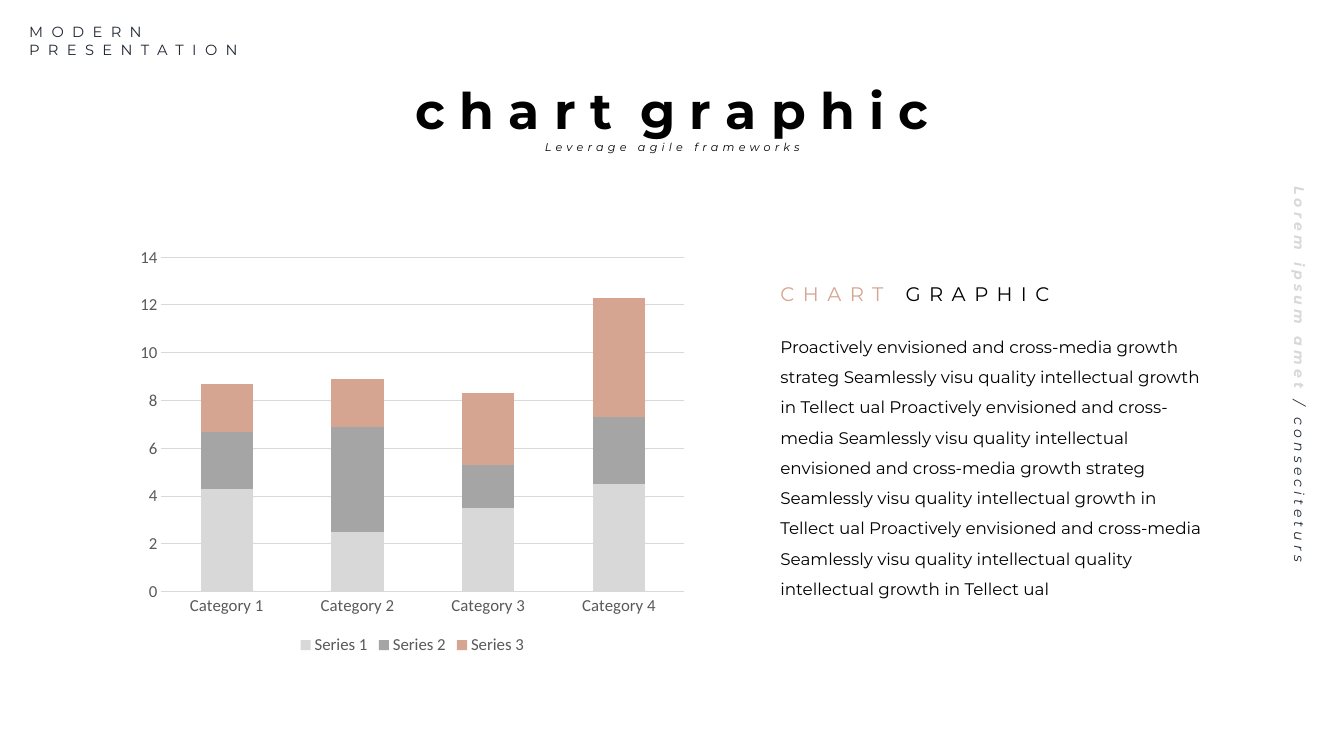
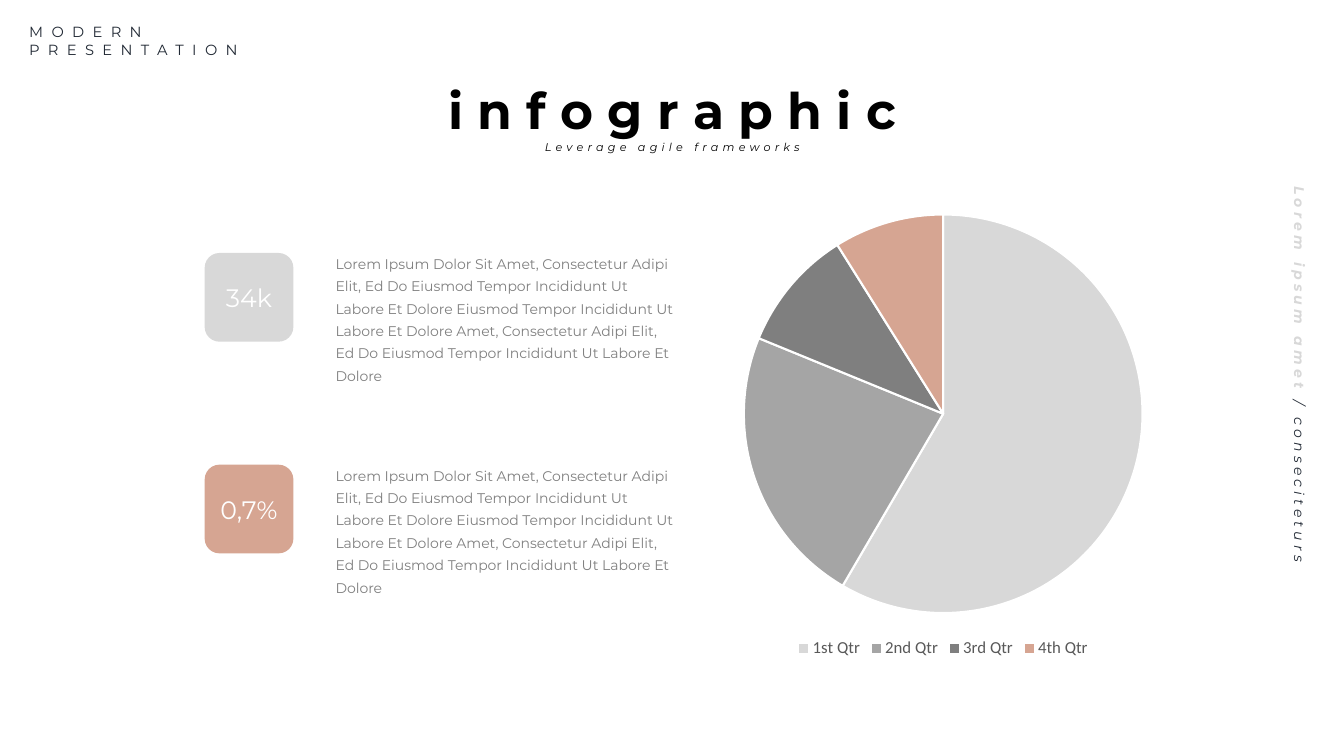
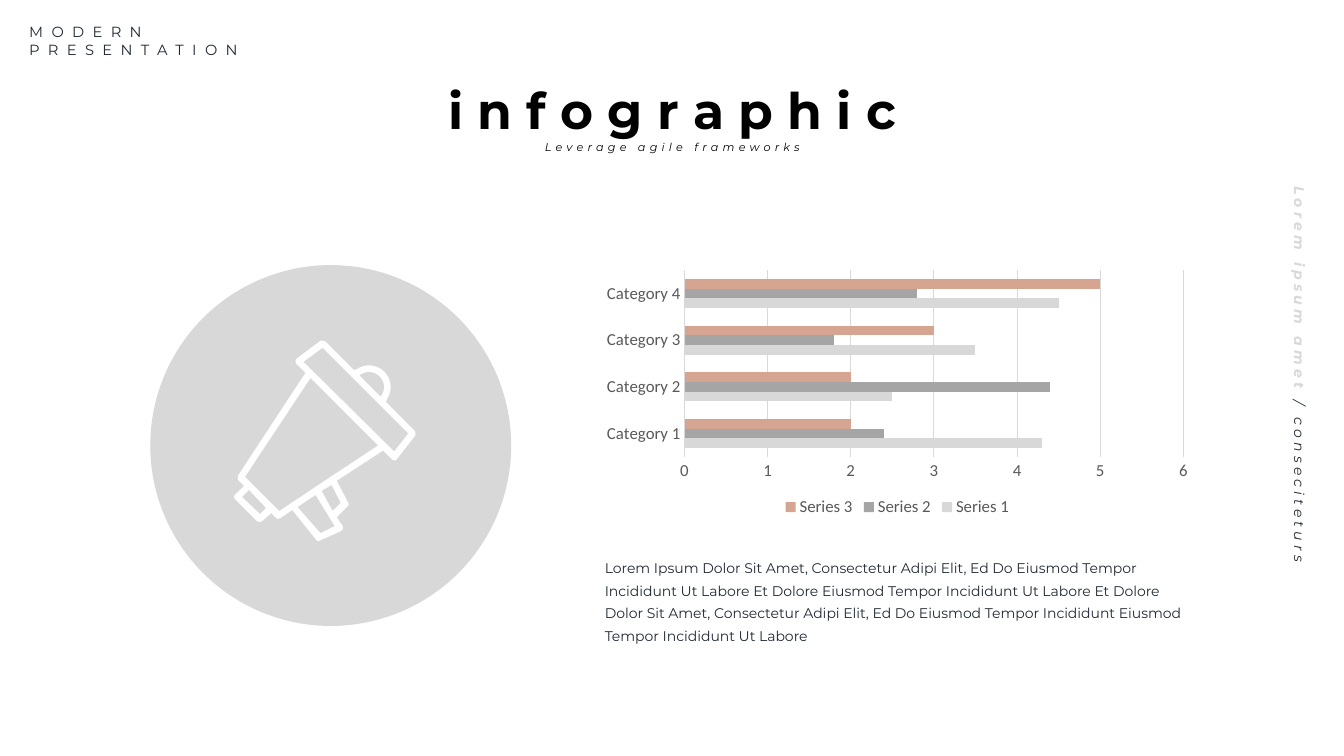
"""Build three light chart slides that share one header, title style and side note."""
from dataclasses import dataclass
from math import cos, radians, sin

from pptx import Presentation
from pptx import util as u
from pptx.chart import data as cd
from pptx.dml.color import RGBColor
from pptx.enum import chart as ch, shapes as sh, text as tx


@dataclass(frozen=True)
class Theme:
    """Colours, fonts and type sizes of the deck."""
    face: str = "Montserrat"
    plain: str = "Calibri"
    black: str = "000000"
    white: str = "FFFFFF"
    navy: str = "222A35"
    pale: str = "D8D8D8"
    mid: str = "A5A5A5"
    dark: str = "7F7F7F"
    rose: str = "D6A592"
    gray: str = "808080"
    label: str = "595959"
    grid: str = "D9D9D9"
    title: float = 36
    badge: float = 18
    head: float = 14
    body: float = 12
    brand: float = 10.5
    small: float = 10
    tag: float = 8


T = Theme()
MID = tx.PP_ALIGN.CENTER
BRAND = {"size": T.brand, "color": T.navy, "gap": 6}
NOTE = {"size": T.small, "italic": True, "gap": 3}
TAG = {"size": T.tag, "color": T.black, "italic": True, "gap": 3}
TITLE = {"size": T.title, "color": T.black, "bold": True}
HEAD = {"size": T.head, "gap": 6}
BODY = {"size": T.body, "color": T.black}
BADGE = {"size": T.badge, "color": T.white}
GRAY = {"size": T.small, "color": T.gray}
NAVY = {"size": T.small, "color": T.navy}

SHARED = [
    ((0.29, 0.23, 2.87, 0.35), [[("MODERN", BRAND)], [("PRESENTATION", BRAND)]],
     {}, 0, 0),
    ((9.32, 3.61, 7.16, 0.28),
     [[("Lorem ipsum amet ", NOTE | {"color": T.pale, "bold": True}),
       ("/ conseciteturs ", NOTE | {"color": T.navy, "bold": False})]],
     {"alignment": MID, "line_spacing": 1.1}, None, 90),
    ((4.87, 1.33, 3.6, 0.18), [[("Leverage agile frameworks", TAG)]],
     {"alignment": MID, "line_spacing": 1.5}, 0, 0),
]
CHART = [[("c h a r t", TITLE), (" ", TITLE | {"gap": 10}), ("g r a p h i c", TITLE)]]
INFO = [[("i n f o g r a p h i c", TITLE)]]

CATS = [f"Category {n}" for n in range(1, 5)]
BARS = [
    ("Series 1", (4.3, 2.5, 3.5, 4.5), T.pale),
    ("Series 2", (2.4, 4.4, 1.8, 2.8), T.mid),
    ("Series 3", (2, 2, 3, 5), T.rose),
]
PIE = [("1st Qtr", 59, T.pale), ("2nd Qtr", 23, T.mid),
       ("3rd Qtr", 10, T.dark), ("4th Qtr", 9, T.rose)]
STORY = (
    "Proactively envisioned and cross-media growth strateg Seamlessly visu quality "
    "intellectual growth in Tellect ual Proactively envisioned and cross-media "
    "Seamlessly visu quality intellectual envisioned and cross-media growth strateg "
    "Seamlessly visu quality intellectual growth in Tellect ual Proactively "
    "envisioned and cross-media Seamlessly visu quality intellectual quality "
    "intellectual growth in Tellect ual")
LOREM = (
    "Lorem Ipsum Dolor Sit Amet, Consectetur Adipi Elit, Ed Do Eiusmod Tempor "
    "Incididunt Ut Labore Et Dolore Eiusmod Tempor Incididunt Ut Labore Et Dolore ")
FACT = LOREM + ("Amet, Consectetur Adipi Elit, Ed Do Eiusmod Tempor Incididunt "
                "Ut Labore Et Dolore")
CLOSE = LOREM + ("Dolor Sit Amet, Consectetur Adipi Elit, Ed Do Eiusmod Tempor "
                 "Incididunt Eiusmod Tempor Incididunt Ut Labore")
FACTS = [("34k", T.pale), ("0,7%", T.rose)]


def arc(rad, start, end, steps=16):
    """List points along the ear of the megaphone."""
    turns = [radians(start + (end - start) * n / steps) for n in range(steps + 1)]
    return [(3.66 + rad * cos(a), 3.84 + rad * sin(a)) for a in turns]


HORN = [
    [(3.13, 4.91), (2.95, 5.03), (3.18, 5.29), (3.32, 5.22)],
    [(2.47, 4.86), (2.4, 4.93), (2.58, 5.1), (2.64, 5.04)],
    [(3.29, 4.81), (3.19, 4.87), (3.3, 5.07), (3.38, 4.99)],
    [(3.08, 3.75), (2.43, 4.73), (2.77, 5.07), (3.28, 4.73), (3.75, 4.42)],
    arc(0.15, 40, -130),
    [(3.2, 3.45), (3.01, 3.59), (3.91, 4.48), (4.05, 4.3)],
    [(3.2, 3.38), (3.23, 3.39), (3.51, 3.67), *arc(0.215, -125, 35),
     (3.83, 3.99), (4.11, 4.27), (4.12, 4.29), (4.12, 4.32),
     (3.94, 4.55), (3.92, 4.57), (3.89, 4.56), (3.8, 4.47),
     (3.34, 4.77), (3.45, 4.98), (3.46, 5), (3.45, 5.02),
     (3.34, 5.13), (3.4, 5.22), (3.4, 5.25), (3.38, 5.27),
     (3.18, 5.36), (3.16, 5.37), (3.14, 5.36), (2.9, 5.06),
     (2.78, 5.14), (2.76, 5.15), (2.74, 5.14), (2.69, 5.09),
     (2.6, 5.17), (2.58, 5.18), (2.55, 5.17), (2.33, 4.95),
     (2.32, 4.93), (2.33, 4.91), (2.42, 4.82), (2.36, 4.76),
     (2.36, 4.72), (3.03, 3.7), (2.94, 3.61), (2.93, 3.58),
     (2.94, 3.56), (3.18, 3.38)],
]


def apply(obj, vals):
    """Set each named attribute."""
    for name, val in vals.items():
        setattr(obj, name, val)


def box(at):
    """Turn inches into lengths."""
    return [u.Inches(n) for n in at]


def ink(fmt, color):
    """Give a fill one solid colour."""
    fmt.solid()
    fmt.fore_color.rgb = RGBColor.from_string(color)


def style(font, color, size, face=T.face, **rest):
    """Format a font."""
    apply(font, {"name": face, "size": u.Pt(size)} | rest)
    font.color.rgb = RGBColor.from_string(color)


def write(shape, paras, form=None, inset=None, **frame):
    """Fill a shape with formatted paragraphs."""
    body = shape.text_frame
    apply(body, {"word_wrap": True} | frame)
    if inset is not None:
        sides = ("left", "top", "right", "bottom")
        apply(body, {f"margin_{side}": u.Inches(inset) for side in sides})
    for num, runs in enumerate(paras):
        para = body.add_paragraph() if num else body.paragraphs[0]
        apply(para, form or {})
        for words, look in runs:
            run = para.add_run()
            run.text = words
            rest = dict(look)
            gap = rest.pop("gap", 0)
            style(run.font, **rest)
            if gap:
                run._r.get_or_add_rPr().set("spc", str(gap * 100))


def label(slide, at, paras, form=None, inset=None, turn=0):
    """Add a text box that grows with its text."""
    shape = slide.shapes.add_textbox(*box(at))
    shape.rotation = turn
    write(shape, paras, form, inset, auto_size=tx.MSO_AUTO_SIZE.SHAPE_TO_FIT_TEXT)


def clean(shape, color):
    """Make a shape flat, with one fill and no line."""
    shape.shadow.inherit = False
    ink(shape.fill, color)
    shape.line.fill.background()
    return shape


def block(slide, kind, at, color):
    """Add a flat preset shape."""
    return clean(slide.shapes.add_shape(kind, *box(at)), color)


def outline(slide, loops, color):
    """Draw closed loops as one flat shape."""
    loops = [[tuple(box(spot)) for spot in loop] for loop in loops]
    pen = slide.shapes.build_freeform(*loops[0][0])
    for num, loop in enumerate(loops):
        if num:
            pen.move_to(*loop[0])
        pen.add_line_segments(loop[1:], close=True)
    clean(pen.convert_to_shape(), color)


def graph(slide, kind, at, cats, rows):
    """Add a chart with the shared font and legend."""
    data = cd.CategoryChartData()
    data.categories = cats
    for name, vals, *_ in rows:
        data.add_series(name, vals)
    chart = slide.shapes.add_chart(kind, *box(at), data).chart
    style(chart.font, T.label, T.body, T.plain)
    apply(chart, {"has_title": False, "has_legend": True})
    apply(chart.legend, {"position": ch.XL_LEGEND_POSITION.BOTTOM,
                         "include_in_layout": False})
    return chart


def bars(slide, kind, at, **plot):
    """Add a bar chart with light grid lines."""
    chart = graph(slide, kind, at, CATS, BARS)
    apply(chart.plots[0], {"vary_by_categories": False} | plot)
    for part, (_, _, color) in zip(chart.plots[0].series, BARS):
        ink(part.format.fill, color)
    cat, val = chart.category_axis, chart.value_axis
    for axis in (cat, val):
        apply(axis, {"major_tick_mark": ch.XL_TICK_MARK.NONE,
                     "minor_tick_mark": ch.XL_TICK_MARK.NONE})
    val.has_major_gridlines = True
    val.format.line.fill.background()
    for line in (cat.format.line, val.major_gridlines.format.line):
        line.width = u.Pt(0.75)
        ink(line.fill, T.grid)


def pie(slide, at):
    """Add a pie chart with white gaps."""
    names, vals, tints = zip(*PIE)
    chart = graph(slide, ch.XL_CHART_TYPE.PIE, at, names, [("Series 1", vals)])
    plot = chart.plots[0]
    plot.vary_by_categories = True
    for num, color in enumerate(tints):
        part = plot.series[0].points[num].format
        ink(part.fill, color)
        part.line.width = u.Pt(1.5)
        ink(part.line.fill, T.white)


def start(deck, title):
    """Add a slide with its title and the shared texts."""
    slide = deck.slides.add_slide(deck.slide_layouts[5])
    head = slide.shapes.title
    spots = ("left", "top", "width", "height")
    apply(head, dict(zip(spots, box((3.44, 0.73, 6.45, 0.71)))))
    write(head, title, {"alignment": MID}, vertical_anchor=tx.MSO_ANCHOR.TOP,
          auto_size=tx.MSO_AUTO_SIZE.SHAPE_TO_FIT_TEXT)
    for part in SHARED:
        label(slide, *part)
    return slide


def main():
    """Build and save the deck."""
    deck = Presentation()
    apply(deck, {"slide_width": u.Inches(13.33), "slide_height": u.Inches(7.5)})
    lines = {"line_spacing": u.Pt(16)}
    loose = {"line_spacing": 1.5}

    slide = start(deck, CHART)
    bars(slide, ch.XL_CHART_TYPE.COLUMN_STACKED, (1.28, 2.37, 5.62, 4.17),
         gap_width=150, overlap=100)
    label(slide, (7.74, 3.24, 4.2, 2.69), [[(STORY, BODY)]], loose, 0)
    label(slide, (7.74, 2.68, 3.71, 0.31),
          [[("CHART ", HEAD | {"color": T.rose}), ("GRAPHIC", HEAD | {"color": T.black})]],
          loose, 0)

    slide = start(deck, INFO)
    pie(slide, (5.92, 1.99, 6.87, 4.58))
    for row, (fact, color) in enumerate(FACTS):
        top = 2.51 + 2.1 * row
        badge = block(slide, sh.MSO_SHAPE.ROUNDED_RECTANGLE, (2.03, top, 0.88, 0.88), color)
        write(badge, [[(fact, BADGE)]], {"alignment": MID},
              vertical_anchor=tx.MSO_ANCHOR.MIDDLE)
        label(slide, (3.23, top - 0.08, 3.57, 1.42), [[(FACT, GRAY)]], lines)

    slide = start(deck, INFO)
    block(slide, sh.MSO_SHAPE.OVAL, (1.49, 2.63, 3.58, 3.58), T.pale)
    outline(slide, HORN, T.white)
    bars(slide, ch.XL_CHART_TYPE.BAR_CLUSTERED, (5.9, 2.63, 6, 2.54), gap_width=182)
    label(slide, (5.9, 5.45, 6, 0.98), [[(CLOSE, NAVY)]], lines)

    deck.save("out.pptx")


if __name__ == "__main__":
    main()
